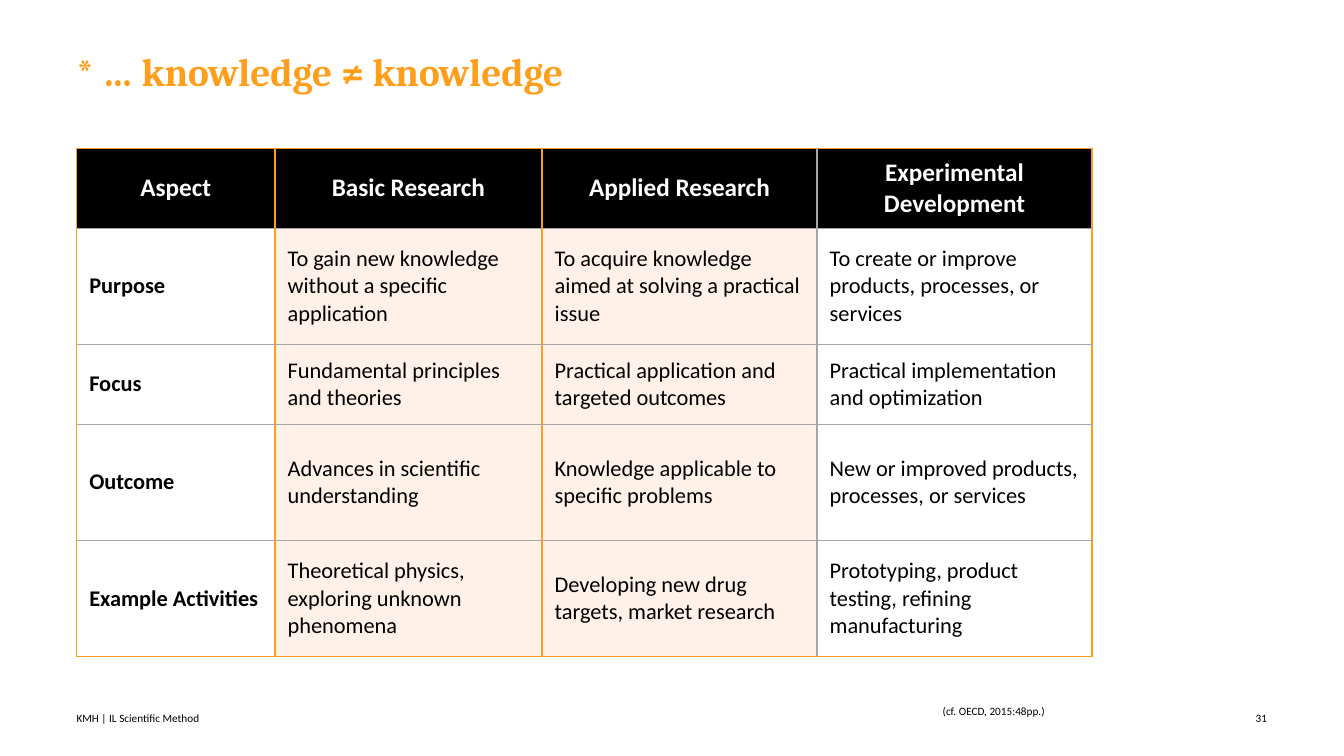
from lxml.etree import SubElement
from pptx import Presentation
from pptx.dml.color import RGBColor
from pptx.enum.text import MSO_ANCHOR, PP_ALIGN
from pptx.oxml.ns import qn
from pptx.util import Cm, Pt

# Content
TITLE = "* … knowledge ≠ knowledge"
RESEARCH_TYPES = [
    ("Aspect", "Basic Research", "Applied Research", "Experimental Development"),
    ("Purpose",
     "To gain new knowledge without a specific application",
     "To acquire knowledge aimed at solving a practical issue",
     "To create or improve products, processes, or services"),
    ("Focus",
     "Fundamental principles and theories",
     "Practical application and targeted outcomes",
     "Practical implementation and optimization"),
    ("Outcome",
     "Advances in scientific understanding",
     "Knowledge applicable to specific problems",
     "New or improved products, processes, or services"),
    ("Example Activities",
     "Theoretical physics, exploring unknown phenomena",
     "Developing new drug targets, market research",
     "Prototyping, product testing, refining manufacturing"),
]
# Footer parts: text, left, top, width, alignment
FOOTER = [
    ("31", 30.53, 17.88, 1.4, PP_ALIGN.RIGHT),
    ("(cf. OECD, 2015:48pp.)", 19.94, 17.72, 10.21, PP_ALIGN.CENTER),
    ("KMH | IL Scientific Method", 1.93, 17.88, 14.2, PP_ALIGN.LEFT),
]
COLORS = {"accent": "FF9E1B", "ink": "000000", "paper": "FFFFFF",
          "tint": "FFF0E8", "rule": "A6A6A6"}

# Layout in centimetres
LEFT, TABLE_TOP = 1.93, 3.74
COLUMN_WIDTHS = [5.0, 6.73, 6.93, 6.93]
ROW_HEIGHTS = [2.01, 2.93, 2.01, 2.93, 2.93]
COLUMN_FILLS = ["paper", "tint", "tint", "paper"]


def write(frame, text, size=16, font="Calibri", color="ink", bold=False,
          align=PP_ALIGN.LEFT, spacing=None, indent=None):
    paragraph = frame.paragraphs[0]
    paragraph.alignment = align
    if spacing:
        paragraph.line_spacing = spacing
    if indent:
        properties = paragraph._p.get_or_add_pPr()
        properties.set("marL", str(Cm(indent)))
        properties.set("indent", "0")
    run = paragraph.add_run()
    run.text = text
    run.font.size = Pt(size)
    run.font.name = font
    run.font.bold = bold
    run.font.color.rgb = RGBColor.from_string(COLORS[color])


def add_text(slide, text, left, top, width, height, anchor, **style):
    frame = slide.shapes.add_textbox(Cm(left), Cm(top), Cm(width), Cm(height)).text_frame
    frame.word_wrap = True
    frame.vertical_anchor = anchor
    frame.margin_left = frame.margin_right = frame.margin_top = frame.margin_bottom = 0
    write(frame, text, **style)


def set_borders(cell, edges):
    properties = cell._tc.get_or_add_tcPr()
    for edge in ("lnL", "lnR", "lnT", "lnB"):
        line = SubElement(properties, qn(f"a:{edge}"), w=str(Pt(1)))
        fill = SubElement(line, qn("a:solidFill"))
        SubElement(fill, qn("a:srgbClr"), val=COLORS[edges[edge]])


def add_research_table(slide):
    rows, columns = len(ROW_HEIGHTS), len(COLUMN_WIDTHS)
    table = slide.shapes.add_table(rows, columns, Cm(LEFT), Cm(TABLE_TOP),
                                   Cm(sum(COLUMN_WIDTHS)), Cm(sum(ROW_HEIGHTS))).table
    table.first_row = table.horz_banding = False
    for column, width in zip(table.columns, COLUMN_WIDTHS):
        column.width = Cm(width)
    for row, height in zip(table.rows, ROW_HEIGHTS):
        row.height = Cm(height)

    for r, texts in enumerate(RESEARCH_TYPES):
        for c, text in enumerate(texts):
            cell = table.cell(r, c)
            # Inner rows and the last divider are grey, all other lines accent
            set_borders(cell, {
                "lnL": "rule" if c == columns - 1 else "accent",
                "lnR": "rule" if c == columns - 2 else "accent",
                "lnT": "rule" if r else "accent",
                "lnB": "rule" if r < rows - 1 else "accent",
            })
            cell.fill.solid()
            fill = COLUMN_FILLS[c] if r else "ink"
            cell.fill.fore_color.rgb = RGBColor.from_string(COLORS[fill])
            cell.vertical_anchor = MSO_ANCHOR.MIDDLE
            cell.margin_left = cell.margin_right = Cm(0.12)
            cell.margin_top = cell.margin_bottom = Cm(0.06)
            if r == 0:
                write(cell.text_frame, text, size=18, color="paper", bold=True,
                      align=PP_ALIGN.CENTER)
            else:
                write(cell.text_frame, text, bold=c == 0, indent=0.2)


def main():
    presentation = Presentation()
    presentation.slide_width, presentation.slide_height = Cm(33.87), Cm(19.05)
    slide = presentation.slides.add_slide(presentation.slide_layouts[6])

    # Title
    add_text(slide, TITLE, LEFT, 1.32, 27.81, 2.21, MSO_ANCHOR.TOP,
             size=28, font="Cambria", color="accent", bold=True, spacing=0.9)

    # Comparison table
    add_research_table(slide)

    # Footer
    for text, left, top, width, align in FOOTER:
        add_text(slide, text, left, top, width, 0.41, MSO_ANCHOR.MIDDLE,
                 size=8, align=align)

    presentation.save("out.pptx")


if __name__ == "__main__":
    main()
